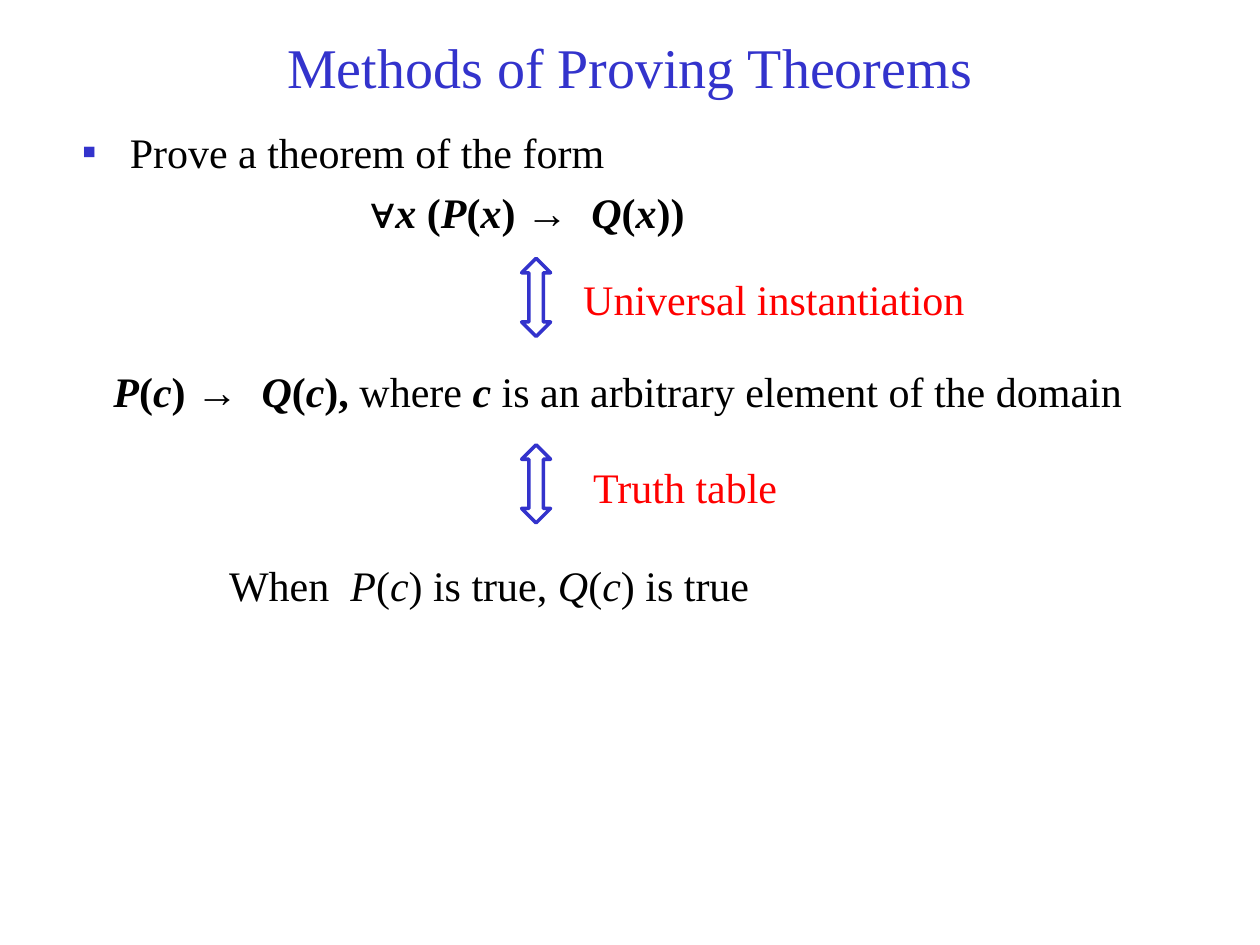
from dataclasses import dataclass

from lxml import etree
from pptx import Presentation
from pptx.dml.color import RGBColor
from pptx.enum.shapes import MSO_SHAPE
from pptx.enum.text import MSO_ANCHOR, MSO_AUTO_SIZE, PP_ALIGN
from pptx.oxml.ns import qn
from pptx.util import Inches, Pt

UP_DOWN_ARROW = MSO_SHAPE.UP_DOWN_ARROW
MIDDLE, TOP = MSO_ANCHOR.MIDDLE, MSO_ANCHOR.TOP
NO_FIT, GROW = MSO_AUTO_SIZE.NONE, MSO_AUTO_SIZE.SHAPE_TO_FIT_TEXT
LEFT, CENTER = PP_ALIGN.LEFT, PP_ALIGN.CENTER

BLUE = RGBColor(0x33, 0x33, 0xCC)
RED = RGBColor(0xFF, 0x00, 0x00)
BLACK = RGBColor(0x00, 0x00, 0x00)
SERIF = "Times New Roman"
SANS = "Arial"
TEXT_SIZE = 24


@dataclass(frozen=True)
class Piece:
    text: str
    bold: bool = False
    italic: bool = False
    font: str = SERIF


@dataclass(frozen=True)
class Line:
    pieces: list[Piece]
    margin: float
    indent: float
    space_before: float


@dataclass(frozen=True)
class Note:
    pieces: list[Piece]
    left: float
    top: float
    width: float
    color: RGBColor


def strong(text: str) -> Piece:
    return Piece(text, bold=True)


def variable(text: str, bold: bool = True) -> Piece:
    return Piece(text, bold=bold, italic=True)


def implication(name: str) -> list[Piece]:
    """Pieces of P(name) → Q(name, left open before the closing bracket."""
    return [
        variable("P"), strong("("), variable(name), strong(") "),
        Piece("→  ", bold=True, font=SANS),
        variable("Q"), strong("("), variable(name),
    ]


BODY_LINES = [
    Line([Piece("Prove a theorem of the form")], 0.38, -0.38, 6),
    Line([Piece("∀", bold=True, font=SANS), variable("x"), strong(" ("),
          *implication("x"), strong("))")], 2.29, 0, 6),
    Line([*implication("c"), strong("), "), Piece("where "), variable("c"),
          Piece(" is an arbitrary element of the domain")], 0.25, 0, 73),
]

ARROW_TOPS = [2.05, 3.53]

NOTES = [
    Note([Piece("Universal instantiation")], 4.53, 2.12, 3.28, RED),
    Note([Piece("When  "), variable("P", False), Piece("("),
          variable("c", False), Piece(") is true, "), variable("Q", False),
          Piece("("), variable("c", False), Piece(") is true")],
         1.72, 4.39, 5, BLACK),
    Note([Piece("Truth table")], 4.61, 3.61, 3.28, RED),
]


def place(shape, left: float, top: float, width: float, height: float) -> None:
    shape.left, shape.top = Inches(left), Inches(top)
    shape.width, shape.height = Inches(width), Inches(height)


def add_pieces(paragraph, pieces: list[Piece], color: RGBColor,
               size: float = TEXT_SIZE) -> None:
    for piece in pieces:
        run = paragraph.add_run()
        run.text = piece.text
        run.font.name = piece.font
        run.font.size = Pt(size)
        run.font.bold = piece.bold
        run.font.italic = piece.italic
        run.font.color.rgb = color


def set_bullet(properties, char: str, color: RGBColor) -> None:
    bullet_color = etree.SubElement(properties, qn("a:buClr"))
    etree.SubElement(bullet_color, qn("a:srgbClr"), val=str(color))
    etree.SubElement(properties, qn("a:buFont"), typeface=SERIF)
    etree.SubElement(properties, qn("a:buChar"), char=char)


def fill_title(title) -> None:
    place(title, 0.75, 0.13, 8.5, 0.79)
    frame = title.text_frame
    frame.auto_size = NO_FIT
    frame.vertical_anchor = MIDDLE
    paragraph = frame.paragraphs[0]
    paragraph.alignment = CENTER
    add_pieces(paragraph, [Piece("Methods of Proving Theorems")], BLUE, 32)


def fill_body(body) -> None:
    place(body, 0.55, 0.95, 8.63, 4.53)
    frame = body.text_frame
    frame.auto_size = NO_FIT
    frame.vertical_anchor = TOP
    for number, line in enumerate(BODY_LINES):
        paragraph = frame.add_paragraph() if number else frame.paragraphs[0]
        paragraph.alignment = LEFT
        paragraph.space_before = Pt(line.space_before)
        properties = paragraph._p.get_or_add_pPr()
        properties.set("marL", str(Inches(line.margin)))
        properties.set("indent", str(Inches(line.indent)))
        if line.indent:
            set_bullet(properties, "▪", BLUE)
        else:
            etree.SubElement(properties, qn("a:buNone"))
        add_pieces(paragraph, line.pieces, BLACK)


def add_arrow(slide, top: float) -> None:
    arrow = slide.shapes.add_shape(
        UP_DOWN_ARROW, Inches(4.14), Inches(top), Inches(0.23), Inches(0.62))
    arrow.shadow.inherit = False
    arrow.adjustments[0] = 0.5
    arrow.adjustments[1] = 0.5
    arrow.fill.background()
    arrow.line.color.rgb = BLUE
    arrow.line.width = Pt(2)


def add_note(slide, note: Note) -> None:
    box = slide.shapes.add_textbox(
        Inches(note.left), Inches(note.top), Inches(note.width), Inches(0.5))
    frame = box.text_frame
    frame.word_wrap = True
    frame.auto_size = GROW
    add_pieces(frame.paragraphs[0], note.pieces, note.color)


def main() -> None:
    presentation = Presentation()
    presentation.slide_width = Inches(10)
    presentation.slide_height = Inches(7.5)
    slide = presentation.slides.add_slide(presentation.slide_layouts[1])
    fill_title(slide.shapes.title)
    fill_body(slide.placeholders[1])
    for top in ARROW_TOPS:
        add_arrow(slide, top)
    for note in NOTES:
        add_note(slide, note)
    presentation.save("out.pptx")


if __name__ == "__main__":
    main()
